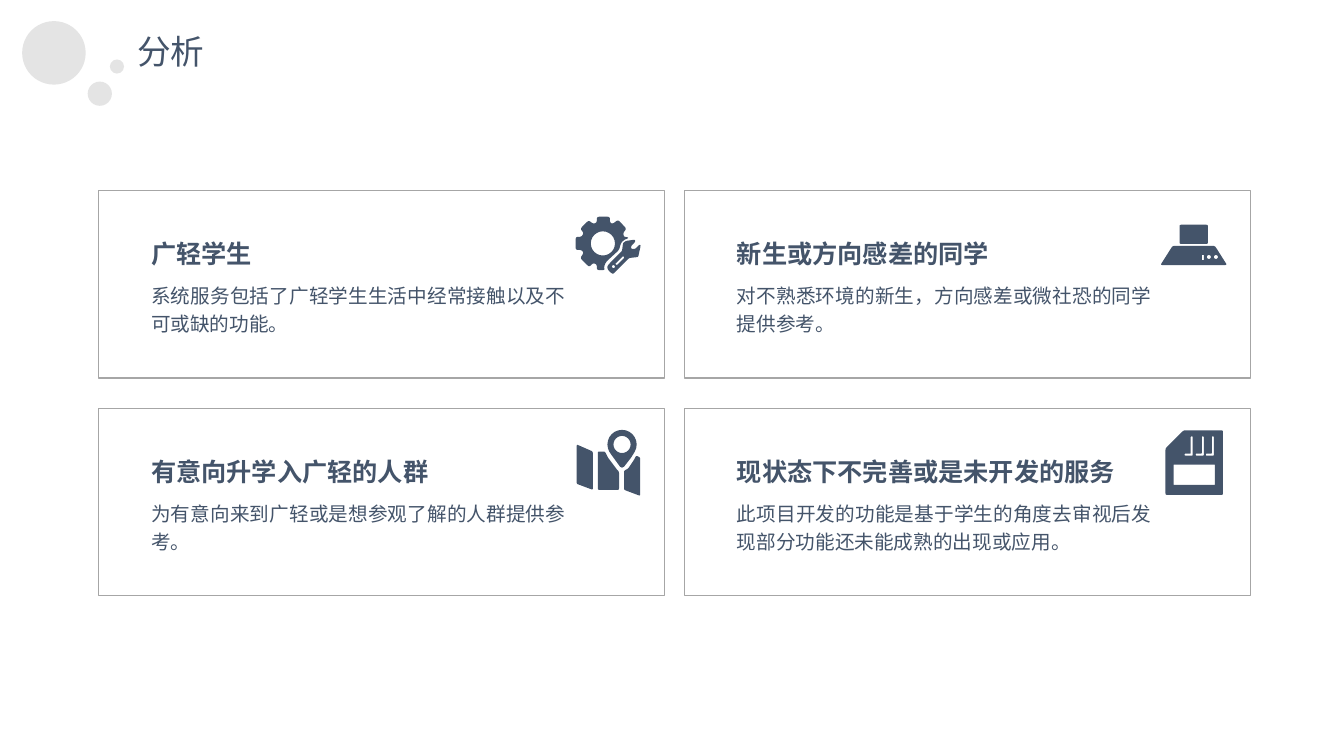
import math

from lxml import etree
from pptx import Presentation
from pptx import util as u
from pptx.dml.color import RGBColor
from pptx.enum import shapes, text
from pptx.oxml.ns import qn

NAVY = RGBColor(0x44, 0x54, 0x6A)
BORDER = RGBColor(0xA6, 0xA6, 0xA6)
BUBBLE = RGBColor(0xD9, 0xD9, 0xD9)
FONT = "Noto Sans CJK SC"


def arc(cx, cy, radius, start=0, end=345):
    angles = [math.radians(degrees) for degrees in range(start, end + 1, 15)]
    return [(cx + radius * math.cos(a), cy + radius * math.sin(a)) for a in angles]


def rounded(corners, radius):
    outline = []
    for i, corner in enumerate(corners):
        before, after = corners[i - 1], corners[(i + 1) % len(corners)]
        ends = []
        for neighbour in (before, after):
            length = math.dist(corner, neighbour)
            share = min(radius, length / 2) / length
            ends.append([c + (n - c) * share for c, n in zip(corner, neighbour)])
        for t in (0, 0.25, 0.5, 0.75, 1):
            outline.append(tuple(
                (1 - t) ** 2 * a + 2 * t * (1 - t) * c + t ** 2 * b
                for a, c, b in zip(ends[0], corner, ends[1])))
    return outline


def box(left, top, right, bottom):
    return [(left, top), (right, top), (right, bottom), (left, bottom)]


def gear_and_wrench():
    gear = [(21, 0), (34, 0), (34, 6), (37, 7), (42, 3), (50.5, 12), (47, 16),
            (48, 20), (50, 20), (53, 21), (48, 23), (45, 26), (43, 33), (30, 45),
            (28, 50), (29, 53), (21, 53), (21, 47), (17, 46), (13.5, 50),
            (4.5, 41), (8, 36), (6, 33), (0, 33), (0, 20), (6, 20), (8, 16),
            (4.5, 12), (13, 3.5), (17, 7), (21, 6)]
    wrench = [(57, 23), (59, 23), (59, 25), (55, 29), (55, 32), (59, 32), (63, 28),
              (64.5, 28), (64, 31), (62, 40), (53, 41), (40, 54), (37, 57),
              (33, 54), (31, 50), (33, 47), (46, 34), (47, 26), (50, 24)]
    slot = [(47, 39), (48.5, 40.5), (41, 48), (39, 47)]
    return [rounded(gear, 2.5), arc(27, 26.5, 12), rounded(wrench, 1.5),
            rounded(slot, 1), arc(37.5, 49.5, 1.5)]


def map_and_pin():
    left = [(0, 14), (16, 21), (16, 59), (0, 53)]
    middle = [(21, 21), (28, 21), (31, 27), (40, 39), (42, 41), (42, 59), (21, 59)]
    right = [(59, 25), (63, 27), (63, 65), (47, 59), (47, 40), (51, 38), (57, 29)]
    pin = arc(45, 14, 14.5, 150, 390) + [(54, 27), (47, 36), (45, 37), (43, 36), (35, 25)]
    return [rounded(panel, 1.5) for panel in (left, middle, right)] + [pin, arc(45, 14, 8.5)]


def cooker_hood():
    base = [(11, 21), (53, 21), (65, 40), (-1, 40)]
    return [rounded(box(18, 0, 46, 19), 1.5), rounded(base, 2),
            arc(54, 32, 2), arc(47, 32, 2), box(40, 30, 42, 35)]


def memory_card():
    body = [(18, 0), (57, 0), (57, 64), (0, 64), (0, 18)]
    contacts = [[(x, 23), (x + 6, 23), (x + 6, 6), (x + 8, 6), (x + 8, 25), (x, 25)]
                for x in (19, 30, 40)]
    return [rounded(body, 1.5), box(8, 34, 49, 54)] + [rounded(c, 0.8) for c in contacts]


class AnalysisSlide:
    def __init__(self, deck):
        self.slide = deck.slides.add_slide(deck.slide_layouts[5])
        self.shapes = self.slide.shapes

    def fill_text(self, frame, words, size, bold=False, spacing=1.0,
                  align=text.PP_ALIGN.LEFT):
        frame.auto_size = text.MSO_AUTO_SIZE.SHAPE_TO_FIT_TEXT
        frame.vertical_anchor = text.MSO_ANCHOR.TOP
        paragraph = frame.paragraphs[0]
        paragraph.alignment = align
        paragraph.line_spacing = spacing
        run = paragraph.add_run()
        run.text = words
        run.font.size = u.Pt(size)
        run.font.bold = bold
        run.font.name = FONT
        run.font.color.rgb = NAVY
        etree.SubElement(run.font._element, qn("a:ea")).set("typeface", FONT)

    def title(self, words, left, top, width, height):
        heading = self.shapes.title
        heading.left, heading.top = u.Inches(left), u.Inches(top)
        heading.width, heading.height = u.Inches(width), u.Inches(height)
        heading.text_frame.word_wrap = False
        self.fill_text(heading.text_frame, words, 24)

    def textbox(self, words, left, top, width, height, size, bold=False):
        frame = self.shapes.add_textbox(
            u.Inches(left), u.Inches(top), u.Inches(width), u.Inches(height)).text_frame
        frame.word_wrap = True
        self.fill_text(frame, words, size, bold, 1.2, text.PP_ALIGN.JUSTIFY)

    def bubble(self, left, top, diameter):
        bubble = self.shapes.add_shape(
            shapes.MSO_SHAPE.FLOWCHART_CONNECTOR, u.Inches(left), u.Inches(top),
            u.Inches(diameter), u.Inches(diameter))
        bubble.shadow.inherit = False
        bubble.fill.solid()
        bubble.fill.fore_color.rgb = BUBBLE
        color = bubble._element.spPr.find(qn("a:solidFill"))[0]
        etree.SubElement(color, qn("a:alpha")).set("val", "70000")
        bubble.line.fill.background()

    def frame(self, left, top, width, height):
        frame = self.shapes.add_shape(
            shapes.MSO_SHAPE.RECTANGLE, u.Inches(left), u.Inches(top),
            u.Inches(width), u.Inches(height))
        frame.shadow.inherit = False
        frame.fill.background()
        frame.line.color.rgb = BORDER
        frame.line.width = u.Pt(1)

    def icon(self, outlines, left, top):
        builder = None
        for outline in outlines:
            points = [(u.Inches(left + x / 100), u.Inches(top + y / 100)) for x, y in outline]
            if builder is None:
                builder = self.shapes.build_freeform(*points[0], scale=1.0)
            else:
                builder.move_to(*points[0])
            builder.add_line_segments(points[1:], close=True)
        icon = builder.convert_to_shape()
        icon.shadow.inherit = False
        icon.fill.solid()
        icon.fill.fore_color.rgb = NAVY
        icon.line.fill.background()

    def card(self, left, top, heading, heading_width, body, outlines, icon_at):
        self.frame(left, top, 5.61, 1.86)
        self.icon(outlines, left + icon_at[0], top + icon_at[1])
        self.textbox(body, left + 0.42, top + 0.83, 4.31, 0.64, 14)
        self.textbox(heading, left + 0.42, top + 0.37, heading_width, 0.43, 18, True)


CARDS = [
    ("广轻学生", 2.24, "系统服务包括了广轻学生生活中经常接触以及不可或缺的功能。",
     gear_and_wrench(), (4.73, 0.26)),
    ("新生或方向感差的同学", 2.81, "对不熟悉环境的新生，方向感差或微社恐的同学提供参考。",
     cooker_hood(), (4.73, 0.34)),
    ("有意向升学入广轻的人群", 2.98, "为有意向来到广轻或是想参观了解的人群提供参考。",
     map_and_pin(), (4.74, 0.22)),
    ("现状态下不完善或是未开发的服务", 4.15,
     "此项目开发的功能是基于学生的角度去审视后发现部分功能还未能成熟的出现或应用。",
     memory_card(), (4.77, 0.22)),
]


def main():
    deck = Presentation()
    deck.slide_width, deck.slide_height = u.Inches(13.33), u.Inches(7.5)
    page = AnalysisSlide(deck)
    for left, top, diameter in ((0.22, 0.21, 0.63), (0.87, 0.81, 0.24), (1.09, 0.59, 0.14)):
        page.bubble(left, top, diameter)
    page.title("分析", 1.26, 0.26, 0.88, 0.5)
    for i, card in enumerate(CARDS):
        row, column = divmod(i, 2)
        page.card(0.98 + column * 5.81, 1.89 + row * 2.16, *card)
    deck.save("out.pptx")


if __name__ == "__main__":
    main()
